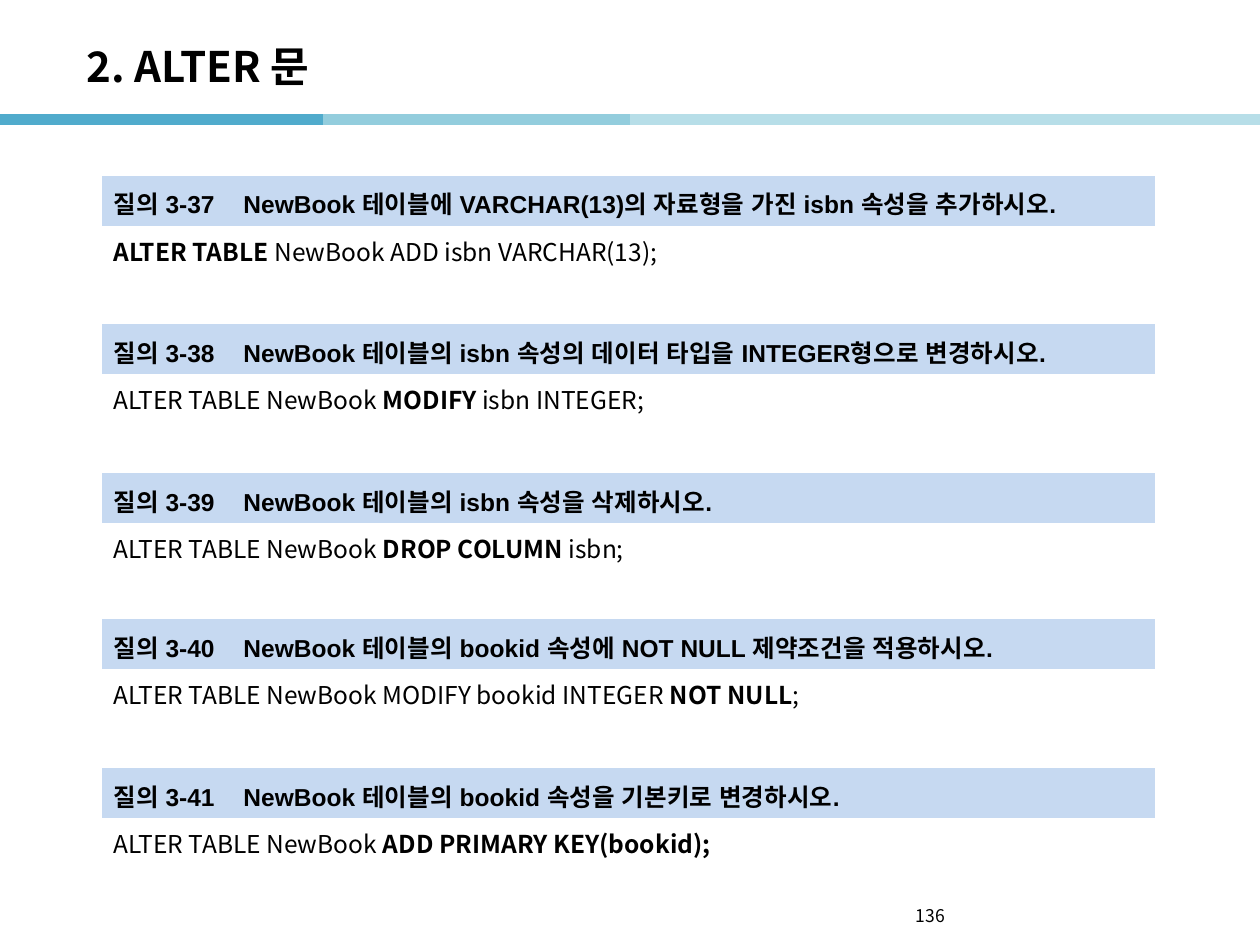
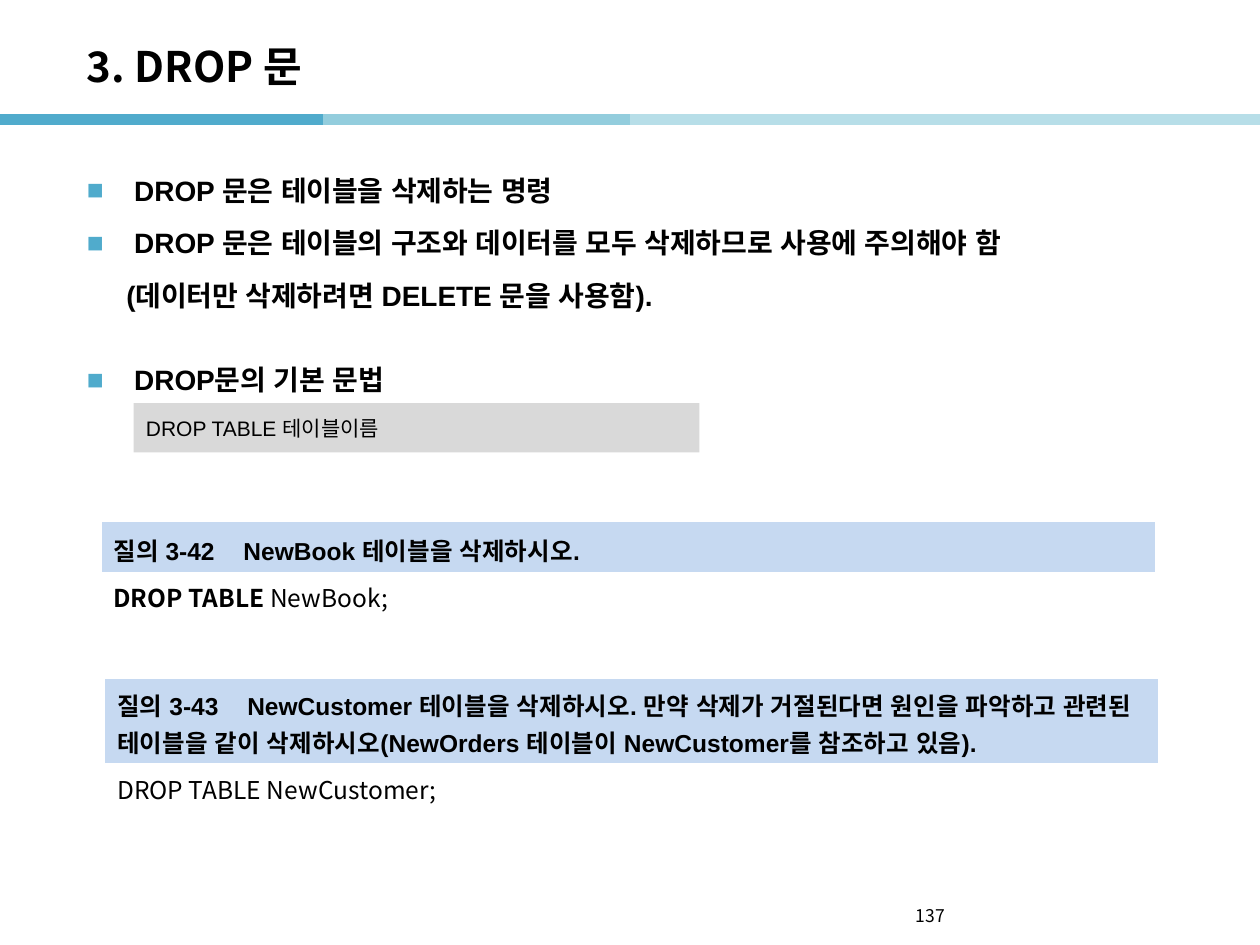
from lxml import etree
from pptx import Presentation
from pptx.dml.color import RGBColor
from pptx.enum import shapes, text
from pptx.oxml import ns
from pptx.util import Pt

SANS, ARIAL = "Noto Sans CJK KR", "Arial"
BLACK, WHITE, BLUE, GRAY, TEAL = "000000", "FFFFFF", "C6D9F1", "D9D9D9", "50ABCC"
BARS = [(0, TEAL), (184.32, "93CDDD"), (360, "B7DEE8"), (537.12, "B7DEE8")]
BAR_W, BAR_Y = 184.32, 68.4
LEFT, WIDE, ROW, TAB = 57.6, 602.6, 29.3, 74.3

# Each query: left, top, number, task, SQL rows with ** around bold words
ALTER = [
    (LEFT, 100, "3-37", "NewBook 테이블에 VARCHAR(13)의 자료형을 가진 isbn 속성을 추가하시오.",
     ["**ALTER TABLE** NewBook ADD isbn VARCHAR(13);"]),
    (LEFT, 185, "3-38", "NewBook 테이블의 isbn 속성의 데이터 타입을 INTEGER형으로 변경하시오.",
     ["ALTER TABLE NewBook **MODIFY** isbn INTEGER;"]),
    (LEFT, 270, "3-39", "NewBook 테이블의 isbn 속성을 삭제하시오.",
     ["ALTER TABLE NewBook **DROP COLUMN** isbn;"]),
    (LEFT, 353.5, "3-40", "NewBook 테이블의 bookid 속성에 NOT NULL 제약조건을 적용하시오.",
     ["ALTER TABLE NewBook MODIFY bookid INTEGER **NOT NULL**;"]),
    (LEFT, 438.5, "3-41", "NewBook 테이블의 bookid 속성을 기본키로 변경하시오.",
     ["ALTER TABLE NewBook **ADD PRIMARY KEY(bookid);**"]),
]
DROP = [
    (LEFT, 298, "3-42", "NewBook 테이블을 삭제하시오.", ["**DROP TABLE** NewBook;", ""]),
    (59.8, 387.4, "3-43", "NewCustomer 테이블을 삭제하시오. 만약 삭제가 거절된다면 원인을 파악하고 "
     "관련된 테이블을 같이 삭제하시오(NewOrders 테이블이 NewCustomer를 참조하고 있음).",
     ["DROP TABLE NewCustomer;"]),
]
# Each point: words, has bullet, space before
POINTS = [
    ("DROP 문은 테이블을 삭제하는 명령", True, 0),
    ("DROP 문은 테이블의 구조와 데이터를 모두 삭제하므로 사용에 주의해야 함", True, 1.5),
    ("(데이터만 삭제하려면 DELETE 문을 사용함).", False, 1.5),
    ("DROP문의 기본 문법", True, 19.2),
]
SYNTAX = "DROP TABLE 테이블이름"


def rgb(code):
    return RGBColor.from_string(code)


def fill(item, code):
    item.fill.solid()
    item.fill.fore_color.rgb = rgb(code)


def place(shape, *box):
    shape.left, shape.top, shape.width, shape.height = map(Pt, box)


def add(parent, tag, **attrs):
    return etree.SubElement(parent, ns.qn(tag), attrs)


def write(para, words, size, face, bold=False):
    """Fill a paragraph; words between ** marks are bold."""
    para.alignment = text.PP_ALIGN.LEFT
    for i, part in enumerate(words.split("**")):
        if not part:
            continue
        run = para.add_run()
        run.text = part
        font = run.font
        font.size, font.name, font.bold = Pt(size), face, bold or i % 2 == 1
        font.color.rgb = rgb(BLACK)
        add(font._element, "a:ea", typeface=face)


def add_bars(slide, master):
    """Put the colour band on the master, so every slide shows it."""
    for i, (x, code) in enumerate(BARS):
        bar = slide.shapes.add_connector(shapes.MSO_CONNECTOR.STRAIGHT,
                                         Pt(x), Pt(BAR_Y), Pt(x + BAR_W), Pt(BAR_Y))
        bar.line.color.rgb, bar.line.width = rgb(code), Pt(6)
        add(bar.element.spPr, "a:effectLst")
        bar.element.xpath(".//p:cNvPr")[0].set("id", str(20 + i))
        master.shapes.element.append(bar.element)


def add_page(deck, layout, title, number):
    slide = deck.slides.add_slide(deck.slide_layouts[layout])
    head = slide.shapes.title
    place(head, 42.5, 15.8, 595.4, 43.2)
    head.text_frame.vertical_anchor = text.MSO_ANCHOR.MIDDLE
    write(head.text_frame.paragraphs[0], title, 24, SANS, True)
    foot = slide.shapes.add_textbox(Pt(516.2), Pt(513.4), Pt(167.8), Pt(20.2))
    foot.text_frame.word_wrap = True
    write(foot.text_frame.paragraphs[0], number, 10, SANS)
    return slide


def add_query(slide, left, top, number, task, code):
    frame = slide.shapes.add_table(1 + len(code), 1, Pt(left), Pt(top),
                                   Pt(WIDE), Pt(ROW * (1 + len(code))))
    table = frame.table
    table.first_row = table.horz_banding = False
    head = table.cell(0, 0)
    fill(head, BLUE)
    head.vertical_anchor = text.MSO_ANCHOR.MIDDLE
    para = head.text_frame.paragraphs[0]
    tabs = add(para._p.get_or_add_pPr(), "a:tabLst")
    add(tabs, "a:tab", pos=str(Pt(TAB)), algn="l")
    para.line_spacing = Pt(21)
    write(para, f"질의 {number}\t{task}", 14, ARIAL, True)
    for i, words in enumerate(code, 1):
        cell = table.cell(i, 0)
        fill(cell, WHITE)
        write(cell.text_frame.paragraphs[0], words, 14, SANS)


def add_points(body):
    place(body, 42.5, 85.7, 635, 430.6)
    frame = body.text_frame
    for i, (words, bullet, gap) in enumerate(POINTS):
        para = frame.add_paragraph() if i else frame.paragraphs[0]
        props = para._p.get_or_add_pPr()
        props.set("marL", str(Pt(27 if bullet else 22.5)))
        props.set("indent", str(Pt(-27 if bullet else 0)))
        if bullet:
            add(add(props, "a:buClr"), "a:srgbClr", val=TEAL)
            add(props, "a:buFont", typeface=ARIAL)
            add(props, "a:buChar", char="■")
        else:
            add(props, "a:buNone")
        para.line_spacing, para.space_before = 1.5, Pt(gap)
        write(para, words, 16, ARIAL, True)


def add_syntax(slide):
    box = slide.shapes.add_shape(shapes.MSO_SHAPE.RECTANGLE,
                                 Pt(76.3), Pt(230.4), Pt(323.3), Pt(28.1))
    box.shadow.inherit = False
    fill(box, GRAY)
    box.line.fill.background()
    box.text_frame.word_wrap = False
    box.text_frame.vertical_anchor = text.MSO_ANCHOR.MIDDLE
    write(box.text_frame.paragraphs[0], SYNTAX, 12, ARIAL)


def main():
    deck = Presentation()
    deck.slide_width, deck.slide_height = Pt(720), Pt(540)
    alter = add_page(deck, 5, "2. ALTER 문", "136")
    add_bars(alter, deck.slide_master)
    drop = add_page(deck, 1, "3. DROP 문", "137")
    add_points(drop.placeholders[1])
    add_syntax(drop)
    for slide, queries in ((alter, ALTER), (drop, DROP)):
        for query in queries:
            add_query(slide, *query)
    deck.save("out.pptx")


if __name__ == "__main__":
    main()
